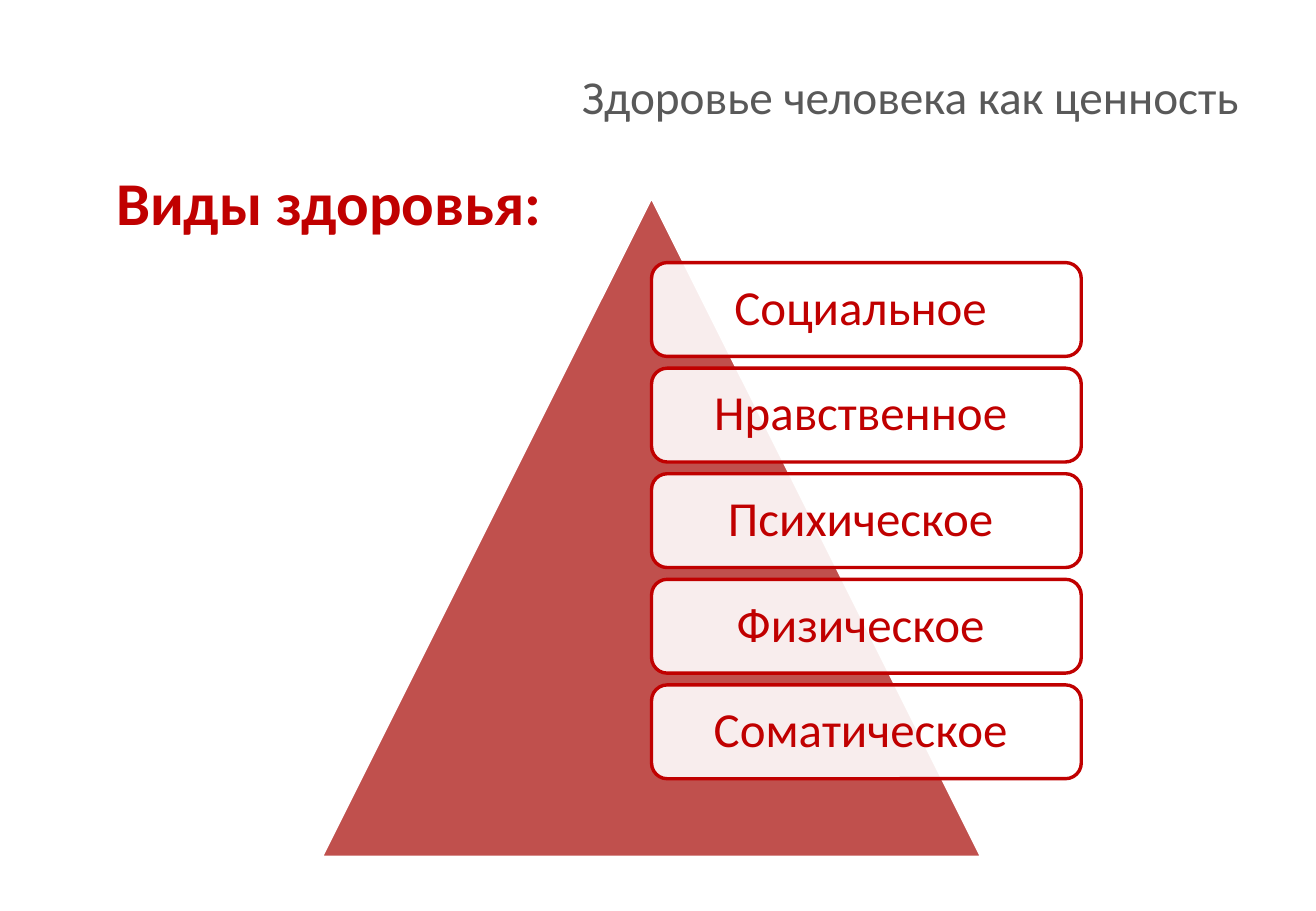
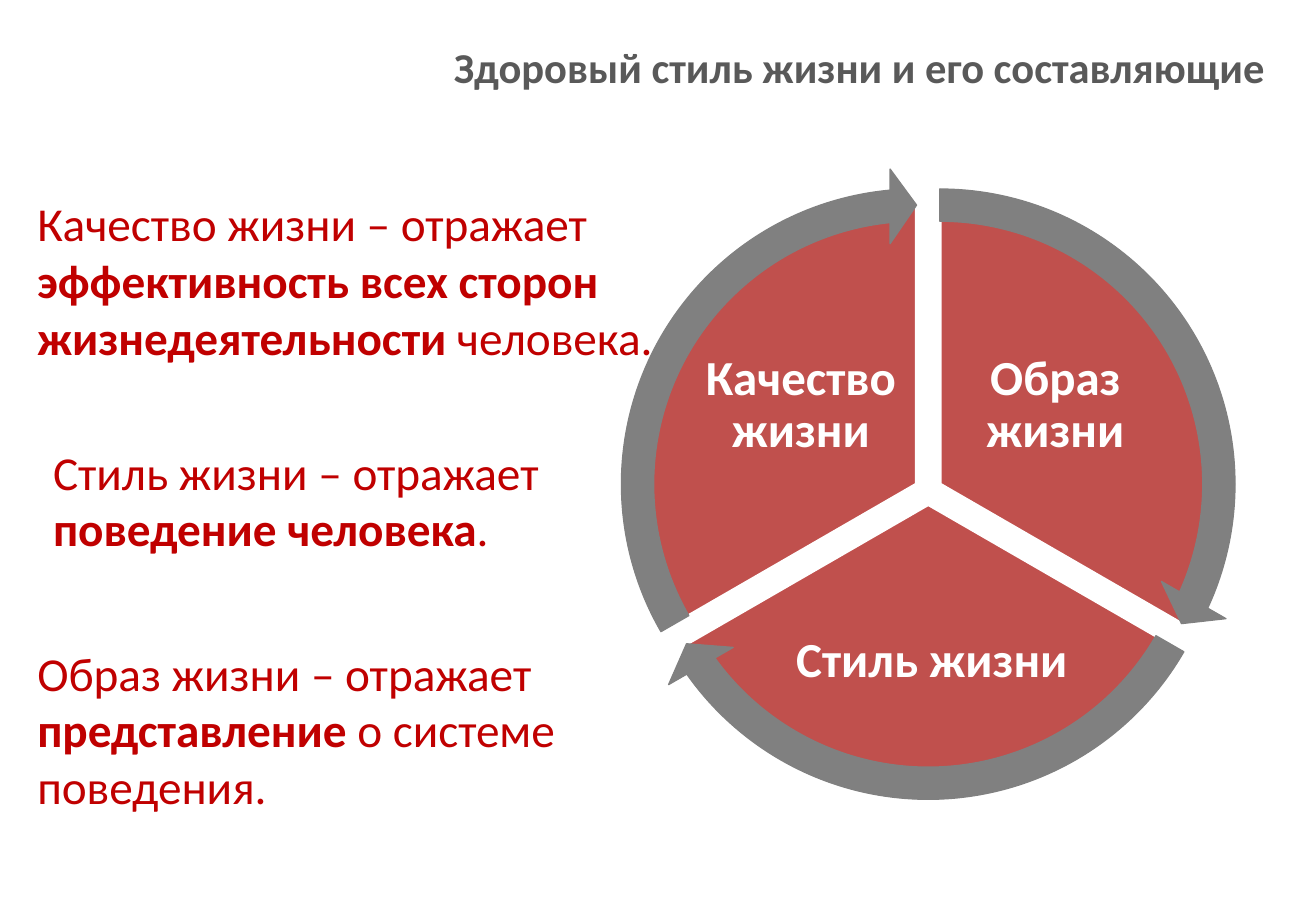
import math
import pptx
import pptx.dml.color
import pptx.enum.shapes
import pptx.enum.text
import pptx.oxml
import pptx.oxml.ns
import pptx.util

Cm = pptx.util.Cm
Pt = pptx.util.Pt
KIND = pptx.enum.shapes.MSO_SHAPE
ALIGN = pptx.enum.text.PP_ALIGN
MID = pptx.enum.text.MSO_ANCHOR.MIDDLE
TOP = pptx.enum.text.MSO_ANCHOR.TOP

RED, BRICK, GREY, DARK, WHITE = "C00000", "C0504D", "808080", "595959", "FFFFFF"
HEAD = {"size": Pt(28), "bold": False}
SUBHEAD = {"size": Pt(25.2), "bold": True}
LEAD = {"size": Pt(36), "bold": True}
BODY = {"size": Pt(28), "bold": False}
CARD = {"size": Pt(29), "bold": False}
LABEL = {"size": Pt(29), "bold": True}


def paint(target, code):
    """Give a fill, line fill or font a solid colour."""
    if hasattr(target, "solid"):
        target.solid()
        target = target.fore_color
    else:
        target = target.color
    target.rgb = pptx.dml.color.RGBColor.from_string(code)


def write(shape, runs, form, code, align, anchor=TOP, inset=None, **para):
    """Fill a shape with one paragraph; runs are (text, bold) pairs or a string."""
    frame = shape.text_frame
    frame.word_wrap = True
    frame.vertical_anchor = anchor
    if inset is not None:
        for side in ("left", "top", "right", "bottom"):
            setattr(frame, "margin_" + side, Cm(inset))
    line = frame.paragraphs[0]
    line.alignment = align
    for key, val in para.items():
        setattr(line, key, val)
    if isinstance(runs, str):
        runs = [(runs, form["bold"])]
    for text, bold in runs:
        run = line.add_run()
        run.text = text
        for key, val in {"name": "Calibri", **form, "bold": bold}.items():
            setattr(run.font, key, val)
        paint(run.font, code)


def text(slide, box, *args, **opts):
    write(slide.shapes.add_textbox(*map(Cm, box)), *args, **opts)


def draw(slide, kind, box, fill, edge, width, adjust=()):
    shape = slide.shapes.add_shape(kind, *map(Cm, box))
    shape.shadow.inherit = False
    paint(shape.fill, fill)
    paint(shape.line.fill, edge)
    shape.line.width = Pt(width)
    for pos, val in enumerate(adjust):
        shape.adjustments[pos] = val
    return shape


def fade(shape, share):
    """Set the opacity of a solid fill, in percent."""
    tint = shape.fill._xPr.find(".//" + pptx.oxml.ns.qn("a:srgbClr"))
    space = pptx.oxml.ns.nsdecls("a")
    tint.append(pptx.oxml.parse_xml(f'<a:alpha {space} val="{share * 1000}"/>'))


def title(slide, left, top, words, form):
    text(slide, (left, top, 24.77, 1.55), words, form, DARK, ALIGN.RIGHT, MID)


def tower(slide, left, top, side, names):
    """Triangle with a stack of cards starting on its axis."""
    draw(slide, KIND.ISOSCELES_TRIANGLE, (left, top, side, side), BRICK, WHITE, 2)
    tall = side * 0.142
    step = tall * 9 / 8
    for row, name in enumerate(names):
        box = (left + side / 2, top + side * 0.1 + row * step, side * 0.65, tall)
        card = draw(slide, KIND.ROUNDED_RECTANGLE, box, WHITE, RED, 2)
        fade(card, 90)
        write(card, name, CARD, RED, ALIGN.CENTER, MID, 0.3, line_spacing=0.9)


def wheel(slide, left, top, side, parts):
    """Three sectors pushed apart from the centre, with arrows around them."""
    mid_x, mid_y = left + side / 2, top + side / 2
    push, unit, head = 0.28, 0.6, 3.275

    def disc(kind, start, size, code, width, adjust):
        turn = math.radians(start + 60)
        box = (mid_x + push * math.cos(turn) - size / 2,
               mid_y + push * math.sin(turn) - size / 2, size, size)
        draw(slide, kind, box, code[0], code[1], width, adjust)

    spans = [(a, a * unit, (a + 120) % 360 * unit) for a in (270, 30, 150)]
    for (start, first, last), (name, dx, dy, wide, tall) in zip(spans, parts):
        disc(KIND.PIE, start, side * 0.89, (BRICK, WHITE), 2, (first, last))
        box = (mid_x + dx - wide / 2, mid_y + dy - tall / 2, wide, tall)
        text(slide, box, name, LABEL, WHITE, ALIGN.CENTER, MID, 0.1, line_spacing=0.9)
    for start, first, last in spans:
        disc(KIND.CIRCULAR_ARROW, start, side, (GREY, GREY), 0.75,
             (0.051, head, last - head, first, 0.059))


def kinds(deck):
    slide = deck.slides.add_slide(deck.slide_layouts[6])
    title(slide, 1.37, 1.22, "Здоровье человека как ценность", HEAD)
    text(slide, (0, 3.33, 13.75, 1.9), "Виды здоровья:", LEAD, RED, ALIGN.CENTER)
    tower(slide, 6.71, 4.11, 13.82, ["Социальное ", "Нравственное ", "Психическое ",
                                     "Физическое ", "Соматическое "])


def style(deck):
    slide = deck.slides.add_slide(deck.slide_layouts[6])
    title(slide, 1.93, 0.61, "Здоровый стиль жизни и его составляющие", SUBHEAD)
    wheel(slide, 12.79, 3.65, 13.23, [
        ("Образ жизни", 2.66, -1.78, 4.22, 3.5),
        ("Стиль жизни", 0.08, 3.58, 6.32, 3.1),
        ("Качество жизни", -2.66, -1.78, 4.22, 3.5)])
    notes = [
        ((0.53, 3.94, 13.77, 3.84),
         [("Качество жизни – отражает ", False),
          ("эффективность всех сторон жизнедеятельности ", True),
          ("человека.", False)]),
        ((0.86, 9.14, 13.11, 2.7),
         [("Стиль жизни – отражает ", False), ("поведение человека", True),
          (".", False)]),
        ((0.53, 13.34, 13.77, 3.84),
         [("Образ жизни – отражает ", False), ("представление", True),
          (" о системе поведения.", False)])]
    for box, runs in notes:
        text(slide, box, runs, BODY, RED, ALIGN.LEFT)


def main():
    deck = pptx.Presentation()
    deck.slide_width, deck.slide_height = Cm(27.51), Cm(19.05)
    kinds(deck)
    style(deck)
    deck.save("out.pptx")


if __name__ == "__main__":
    main()
